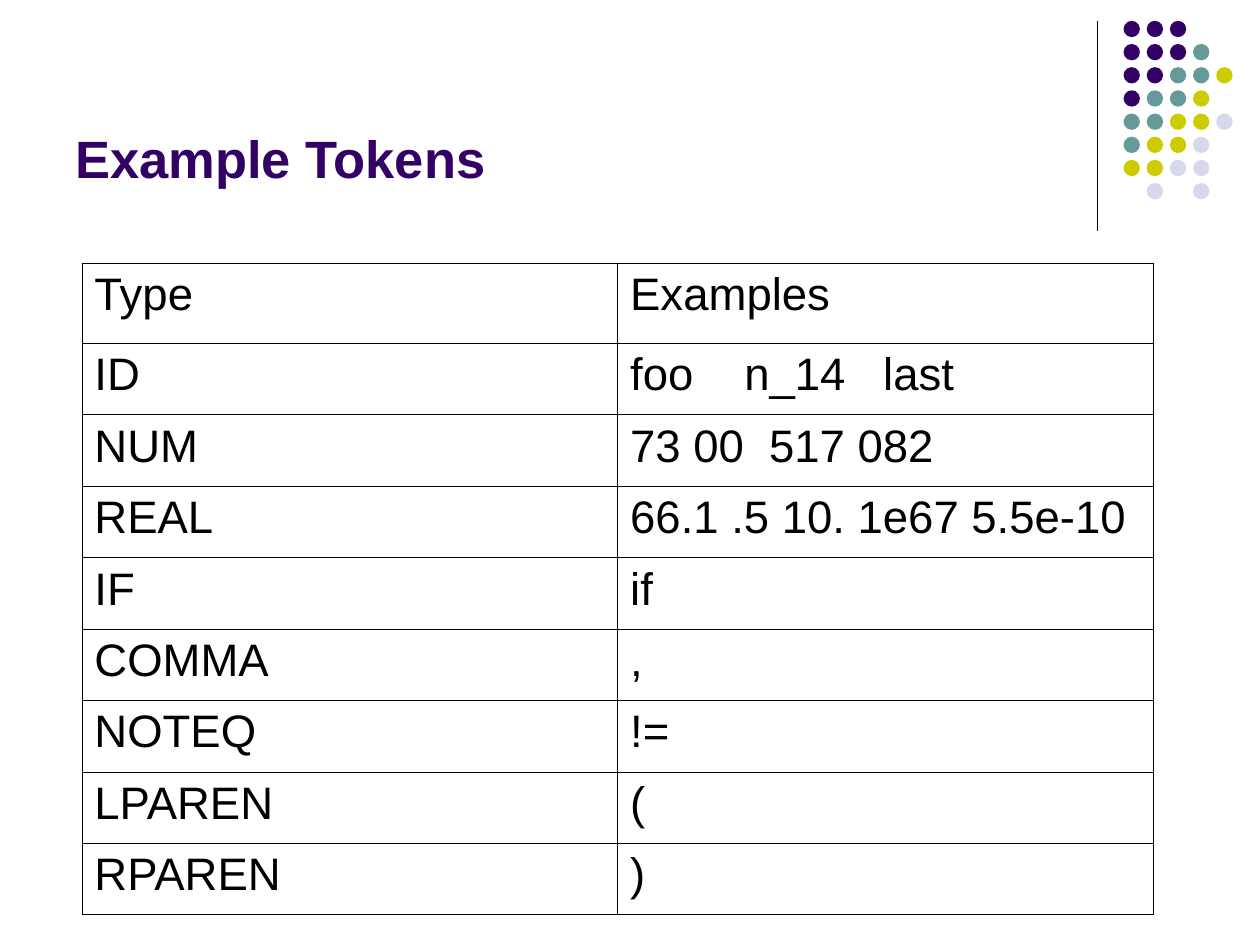
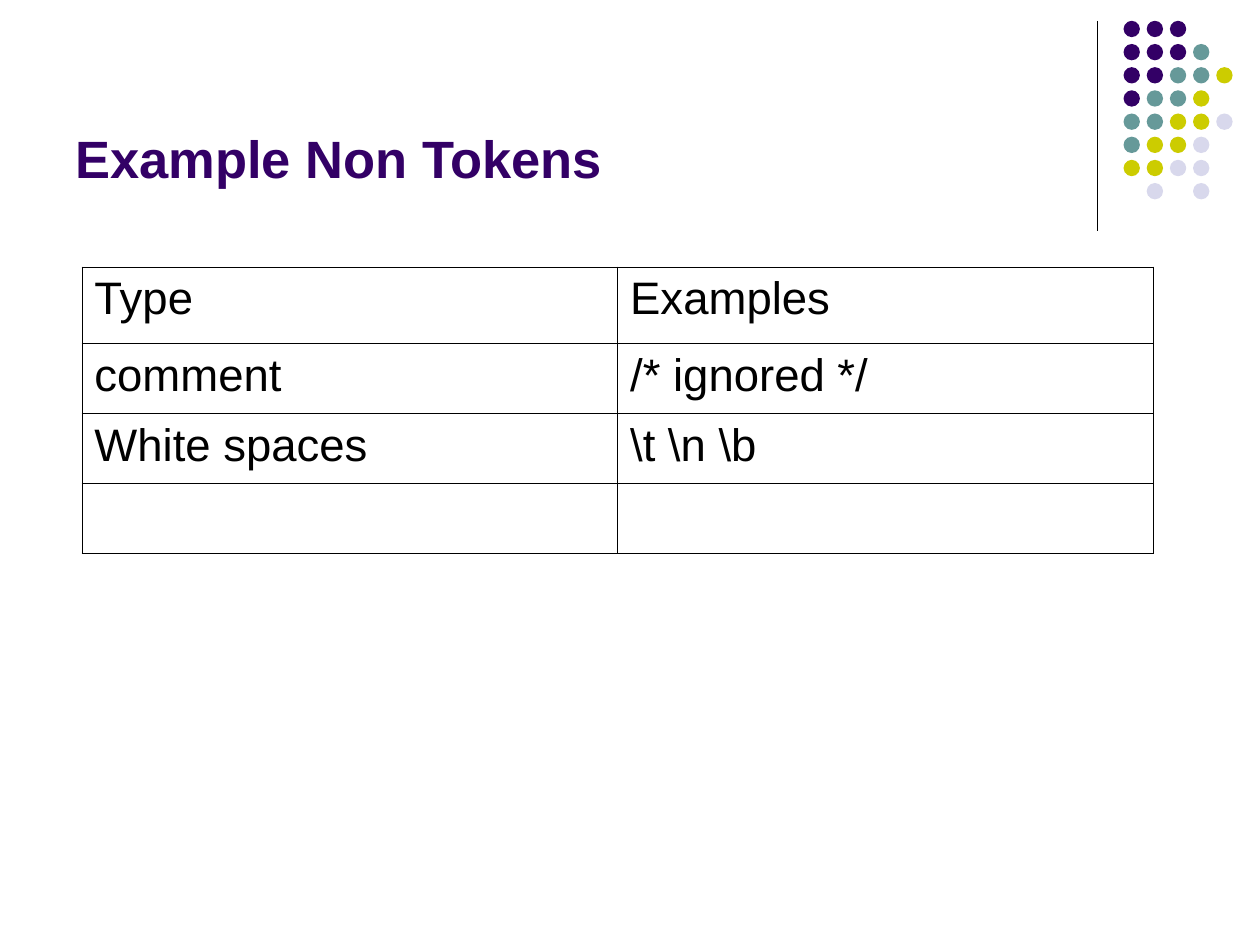
"""Build two slides that list example tokens and non tokens of a lexer."""
from dataclasses import dataclass

from lxml import etree
from pptx import Presentation, util as u
from pptx.dml.color import RGBColor
from pptx.enum import shapes, text
from pptx.oxml import ns


@dataclass(frozen=True)
class Theme:
    """Colours, font and type sizes of the deck."""
    font: str = "Arial"
    title_size: float = 30
    cell_size: float = 26
    purple: str = "330066"
    teal: str = "669999"
    olive: str = "CCCC00"
    lavender: str = "D8D8EC"
    black: str = "000000"
    divider_width: float = 0.75
    border_width: float = 0.45


@dataclass(frozen=True)
class TokenRow:
    """A token type, its examples and the tab stops in cm between them."""
    kind: str
    examples: str
    tabs: tuple[float, ...] = ()


@dataclass(frozen=True)
class TokenSlide:
    """A title with a table, its position and row heights in cm."""
    title: str
    top: float
    header_height: float
    row_height: float
    rows: tuple[TokenRow, ...]


THEME = Theme()
DOT_COLOURS = {"P": THEME.purple, "T": THEME.teal, "O": THEME.olive, "L": THEME.lavender}
DOT_ROWS = ("PPP", "PPPT", "PPTTO", "PTTO", "TTOOL", "TOOL", "OOLL", ".L.L")
DOT_LEFT, DOT_TOP, DOT_SIZE, DOT_SPAN = 22.65, 0.42, 0.33, 3.27
TABLE_LEFT, COLUMN_WIDTH = 1.65, 10.8
HEADER = TokenRow("Type", "Examples")

TOKEN_SLIDES = (
    TokenSlide("Example Tokens", 5.3, 1.62, 1.44, (
        HEADER,
        TokenRow("ID", "foo\tn_14\tlast", (2.3, 5.1)),
        TokenRow("NUM", "73 00\t517 082", (2.8,)),
        TokenRow("REAL", "66.1 .5 10. 1e67 5.5e-10"),
        TokenRow("IF", "if"),
        TokenRow("COMMA", ","),
        TokenRow("NOTEQ", "!="),
        TokenRow("LPAREN", "("),
        TokenRow("RPAREN", ")"),
    )),
    TokenSlide("Example Non Tokens", 5.38, 1.55, 1.41, (
        HEADER,
        TokenRow("comment", "/* ignored */"),
        TokenRow("White spaces", r"\t \n \b"),
        TokenRow("", ""),
    )),
)


def write(frame, words: str, *, size: float, colour: str, bold: bool = False,
          tabs: tuple[float, ...] = ()) -> None:
    """Write one formatted paragraph into a text frame."""
    paragraph = frame.paragraphs[0]
    if tabs:
        stops = etree.SubElement(paragraph._p.get_or_add_pPr(), ns.qn("a:tabLst"))
        for stop in tabs:
            etree.SubElement(stops, ns.qn("a:tab"), pos=str(u.Cm(stop)), algn="l")
    paragraph.font.size = u.Pt(size)
    if words:
        run = paragraph.add_run()
        run.text = words
        run.font.name = THEME.font
        run.font.size = u.Pt(size)
        run.font.bold = bold
        run.font.color.rgb = RGBColor.from_string(colour)


def draw_divider(slide) -> None:
    """Draw the upright line beside the dots."""
    divider = slide.shapes.add_connector(shapes.MSO_CONNECTOR.STRAIGHT, u.Cm(22.12),
                                         u.Cm(0.42), u.Cm(22.12), u.Cm(4.66))
    divider.line.color.rgb = RGBColor.from_string(THEME.black)
    divider.line.width = u.Pt(THEME.divider_width)
    etree.SubElement(divider._element.spPr, ns.qn("a:effectLst"))


def draw_dots(slide) -> None:
    """Draw the coloured dots of the corner on an even grid."""
    pitch = DOT_SPAN / (len(DOT_ROWS) - 1)
    for row, keys in enumerate(DOT_ROWS):
        for column, key in enumerate(keys):
            if key not in DOT_COLOURS:
                continue
            dot = slide.shapes.add_shape(
                shapes.MSO_SHAPE.OVAL, u.Cm(DOT_LEFT + column * pitch),
                u.Cm(DOT_TOP + row * pitch), u.Cm(DOT_SIZE), u.Cm(DOT_SIZE))
            dot.shadow.inherit = False
            dot.fill.solid()
            dot.fill.fore_color.rgb = RGBColor.from_string(DOT_COLOURS[key])
            dot.line.fill.background()


def draw_title(slide, words: str) -> None:
    """Draw the title at the foot of its box."""
    title = slide.shapes.add_textbox(u.Cm(1.27), u.Cm(0.32), u.Cm(20.96), u.Cm(3.61))
    title.text_frame.word_wrap = True
    title.text_frame.vertical_anchor = text.MSO_ANCHOR.BOTTOM
    write(title.text_frame, words, size=THEME.title_size, colour=THEME.purple, bold=True)


def outline_cell(cell) -> None:
    """Give a cell thin borders and no fill."""
    properties = cell._tc.get_or_add_tcPr()
    for side in ("lnL", "lnR", "lnT", "lnB"):
        border = etree.SubElement(properties, ns.qn(f"a:{side}"),
                                  w=str(u.Pt(THEME.border_width)))
        paint = etree.SubElement(border, ns.qn("a:solidFill"))
        etree.SubElement(paint, ns.qn("a:srgbClr"), val=THEME.black)
    cell.fill.background()


def draw_token_table(slide, content: TokenSlide) -> None:
    """Draw the two-column table of types and examples."""
    heights = [content.header_height] + [content.row_height] * (len(content.rows) - 1)
    table = slide.shapes.add_table(len(heights), 2, u.Cm(TABLE_LEFT), u.Cm(content.top),
                                   u.Cm(2 * COLUMN_WIDTH), u.Cm(sum(heights))).table
    table.first_row = table.horz_banding = False
    for column in table.columns:
        column.width = u.Cm(COLUMN_WIDTH)
    for index, (token, height) in enumerate(zip(content.rows, heights)):
        table.rows[index].height = u.Cm(height)
        for column, (words, tabs) in enumerate(((token.kind, ()), (token.examples, token.tabs))):
            cell = table.cell(index, column)
            outline_cell(cell)
            write(cell.text_frame, words, size=THEME.cell_size, colour=THEME.black, tabs=tabs)


def main() -> None:
    """Build and save the deck."""
    deck = Presentation()
    deck.slide_width, deck.slide_height = u.Cm(25.4), u.Cm(19.05)
    for content in TOKEN_SLIDES:
        slide = deck.slides.add_slide(deck.slide_layouts[6])
        draw_divider(slide)
        draw_dots(slide)
        draw_title(slide, content.title)
        draw_token_table(slide, content)
    deck.save("out.pptx")


if __name__ == "__main__":
    main()
